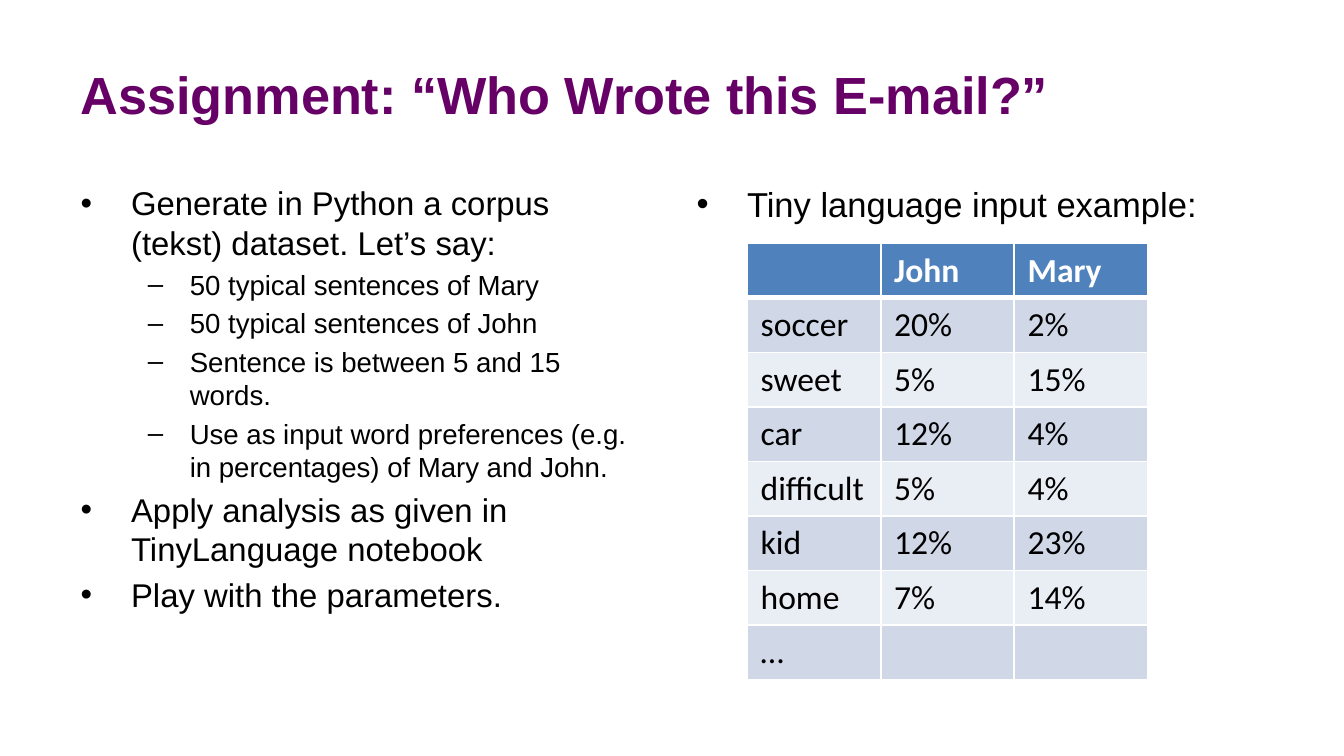
from lxml import etree
from pptx import Presentation
from pptx import util as u
from pptx.dml import color
from pptx.enum import text
from pptx.oxml import ns

WIDTH = u.Inches(10)
HEIGHT = WIDTH * 9 // 16
TASKS = [
    (0, "Generate in Python a corpus (tekst) dataset. Let’s say:"),
    (1, "50 typical sentences of Mary"),
    (1, "50 typical sentences of John"),
    (1, "Sentence is between 5 and 15 words."),
    (1, "Use as input word preferences (e.g. in percentages) of Mary and John."),
    (0, "Apply analysis as given in TinyLanguage notebook"),
    (0, "Play with the parameters."),
]
EXAMPLE = [(0, "Tiny language input example:")]
PREFERENCES = [
    ("", "John", "Mary"),
    ("soccer", "20%", "2%"),
    ("sweet", "5%", "15%"),
    ("car", "12%", "4%"),
    ("difficult", "5%", "4%"),
    ("kid", "12%", "23%"),
    ("home", "7%", "14%"),
    ("…", "", ""),
]


def rgb(value):
    """Return the colour for a hex string."""
    return color.RGBColor.from_string(value)


def share(x, y, w, h):
    """Turn percentages of the slide into a box of lengths."""
    return tuple(int(part * side / 100) for part, side in
                 ((x, WIDTH), (y, HEIGHT), (w, WIDTH), (h, HEIGHT)))


def place(sp, box):
    """Move and size a shape to a box."""
    sp.left, sp.top, sp.width, sp.height = box


def write(p, words, size=18, font="Arial", hue="000000", bold=False):
    """Add one formatted run to a paragraph."""
    r = p.add_run()
    r.text = words
    r.font.size, r.font.name, r.font.bold = u.Pt(size), font, bold
    r.font.color.rgb = rgb(hue)


def add_title(sp, box, words):
    """Fill the title placeholder."""
    place(sp, box)
    tf = sp.text_frame
    tf.vertical_anchor = text.MSO_ANCHOR.MIDDLE
    tf.auto_size = text.MSO_AUTO_SIZE.NONE
    tf.paragraphs[0].alignment = text.PP_ALIGN.LEFT
    write(tf.paragraphs[0], words, size=28, hue="660066", bold=True)


def add_list(sp, box, items, sizes):
    """Fill a body placeholder with bullets sized by level."""
    place(sp, box)
    tf = sp.text_frame
    tf.auto_size = text.MSO_AUTO_SIZE.NONE
    for i, (level, words) in enumerate(items):
        p = tf.add_paragraph() if i else tf.paragraphs[0]
        p.level = level
        write(p, words, size=sizes[level])


def add_borders(cell, bottom):
    """Draw white cell borders, the lower one with its own width."""
    tcPr = cell._tc.get_or_add_tcPr()
    for side, width in (("L", 1), ("R", 1), ("T", 1), ("B", bottom)):
        ln = etree.SubElement(tcPr, ns.qn(f"a:ln{side}"), w=str(u.Pt(width)))
        fill = etree.SubElement(ln, ns.qn("a:solidFill"))
        etree.SubElement(fill, ns.qn("a:srgbClr"), val="FFFFFF")


def add_preferences(s, box, rows):
    """Add the banded table of word preferences."""
    table = s.shapes.add_table(len(rows), len(rows[0]), *box).table
    for i, row in enumerate(rows):
        head = i == 0
        band = "4F81BD" if head else ("E9EDF4", "D0D8E8")[i % 2]
        for j, words in enumerate(row):
            cell = table.cell(i, j)
            add_borders(cell, 3 if head else 1)
            cell.fill.solid()
            cell.fill.fore_color.rgb = rgb(band)
            if words:
                write(cell.text_frame.paragraphs[0], words, font="Calibri",
                      hue="FFFFFF" if head else "000000", bold=head)


def main():
    """Build the assignment slide."""
    prs = Presentation()
    prs.slide_width, prs.slide_height = WIDTH, HEIGHT
    s = prs.slides.add_slide(prs.slide_layouts[3])
    title, left, right = s.placeholders
    add_title(title, share(5, 4, 90, 16.67), "Assignment: “Who Wrote this E-mail?”")
    add_list(left, share(5, 23.33, 44.17, 56.4), TASKS, (17.6, 14.8))
    add_list(right, share(50.83, 23.33, 44.17, 56.4), EXAMPLE, (18.5,))
    add_preferences(s, share(55.6, 32.2, 29.8, 57.6), PREFERENCES)
    prs.save("out.pptx")


if __name__ == "__main__":
    main()
